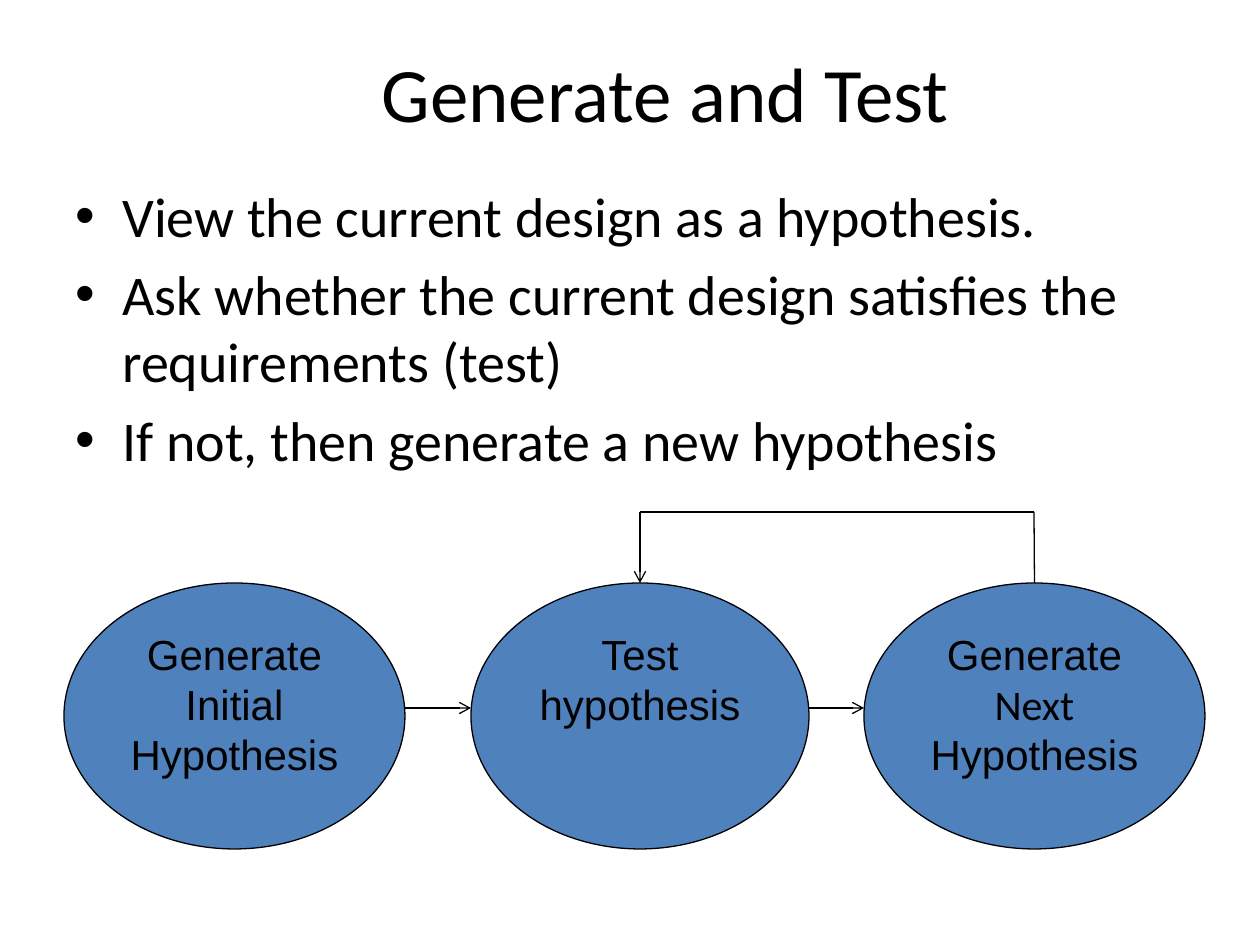
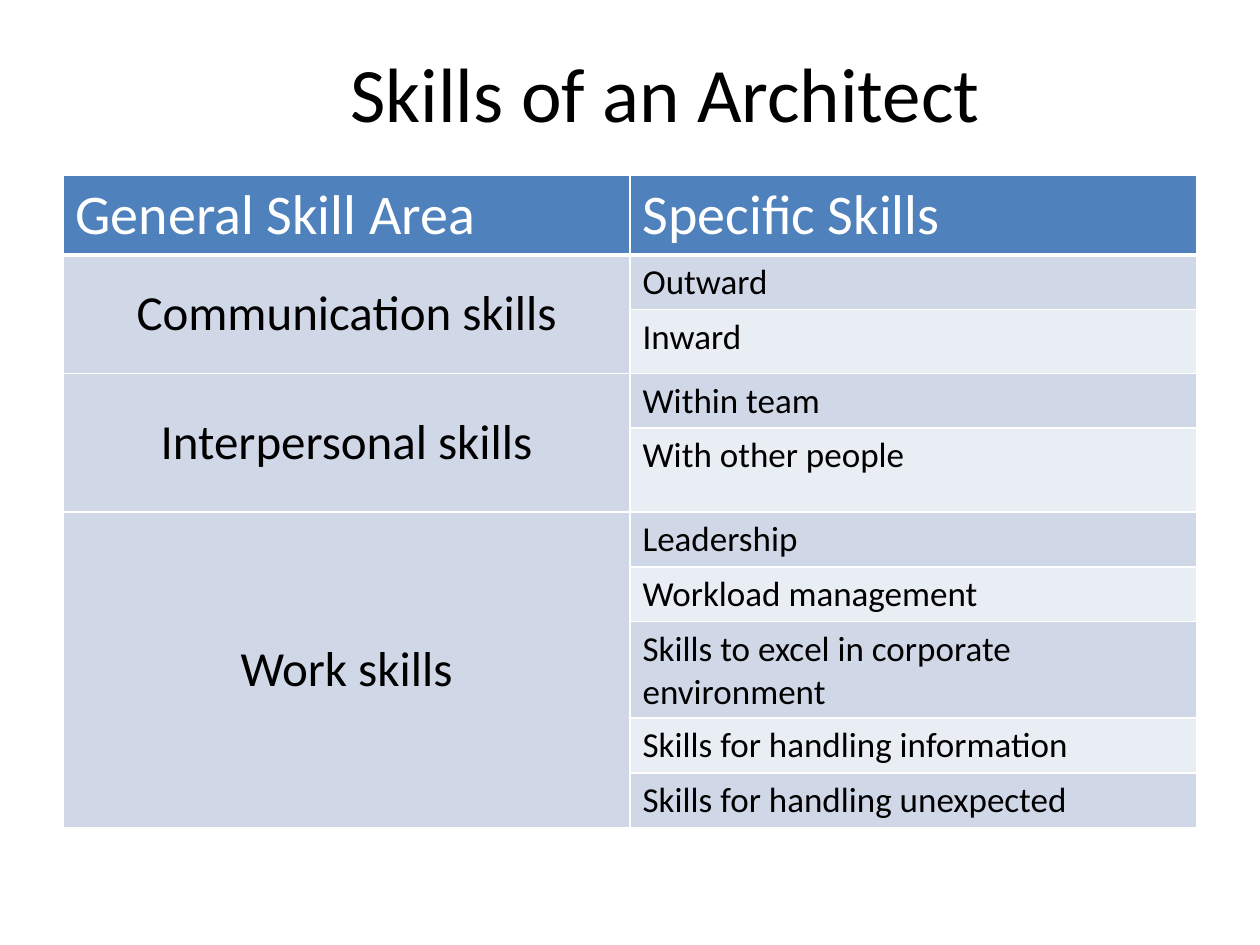
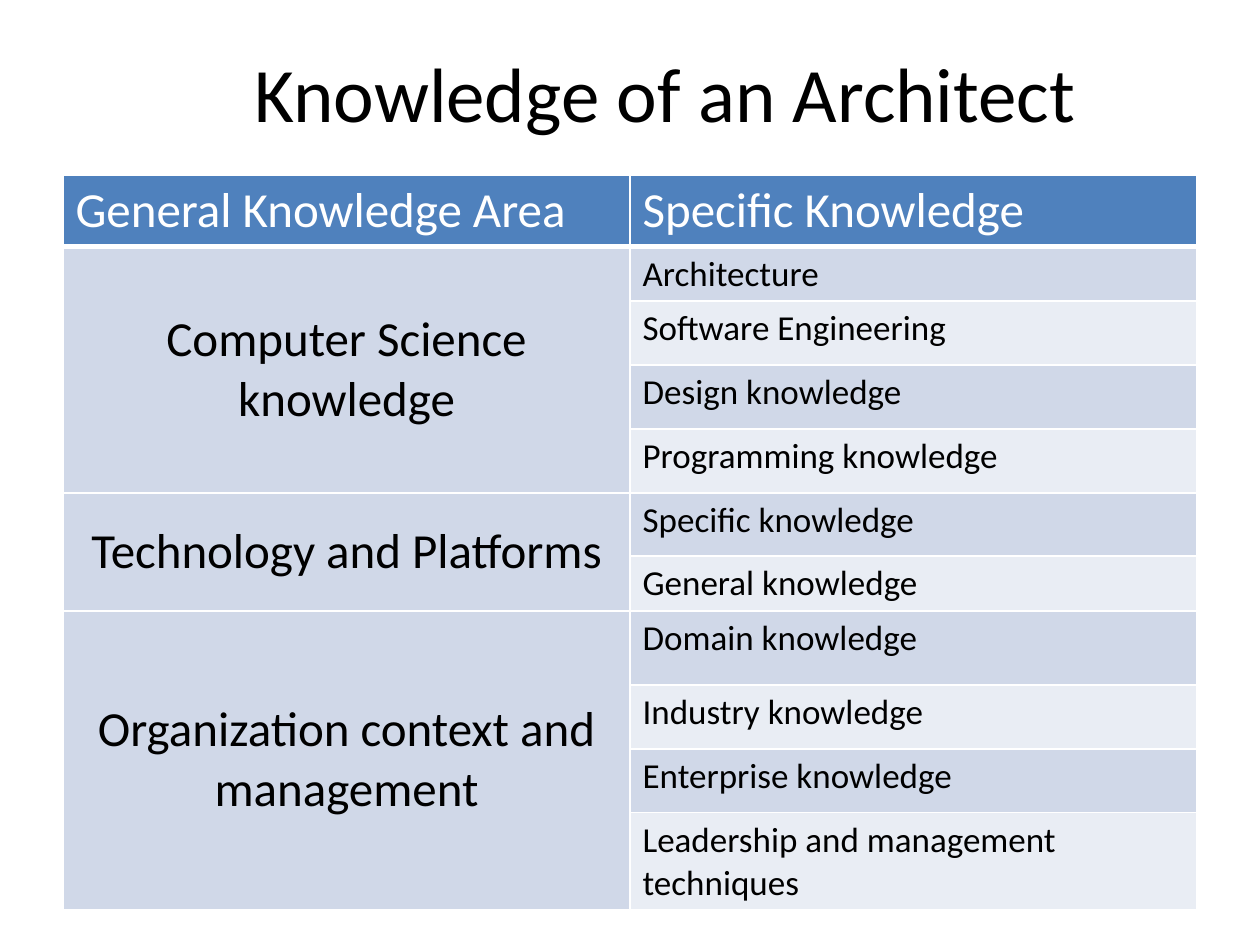
"""Build three slides on design by hypothesis and on what an architect needs."""
from lxml import etree
from pptx import Presentation
from pptx.dml.color import RGBColor
from pptx.enum.shapes import MSO_CONNECTOR, MSO_SHAPE
from pptx.enum.text import MSO_ANCHOR, PP_ALIGN
from pptx.oxml.ns import qn
from pptx.util import Pt

OVAL, LINE = MSO_SHAPE.OVAL, MSO_CONNECTOR.STRAIGHT
TOP, MIDDLE = MSO_ANCHOR.TOP, MSO_ANCHOR.MIDDLE
LEFT, CENTER = PP_ALIGN.LEFT, PP_ALIGN.CENTER
BLACK = RGBColor(0x00, 0x00, 0x00)
WHITE = RGBColor(0xFF, 0xFF, 0xFF)
BLUE = RGBColor(0x4F, 0x81, 0xBD)
BANDS = RGBColor(0xD0, 0xD8, 0xE8), RGBColor(0xE9, 0xED, 0xF4)
SANS, ROUND = "Arial", "Calibri"

PX = 914400 / 126
SIZE = 1260, 945
TITLE = 134, 38, 1063, 107
BODY = 63, 175, 1134, 669
GRID = 63, 175, 1134
INDENT = 47
OVAL_TOP, OVAL_HIGH = 583, 266
FLOW_Y, LOOP_Y = 708, 512

TEST_TITLE = "Generate and Test"
POINTS = [
    "View the current design as a hypothesis.",
    "Ask whether the current design satisfies the requirements (test)",
    "If not, then generate a new hypothesis",
]
STEPS = [
    (64, 341, [("Generate Initial Hypothesis", SANS)]),
    (471, 338, [("Test hypothesis", SANS)]),
    (864, 341, [("Generate ", SANS), ("Next ", ROUND), ("Hypothesis", SANS)]),
]
TABLES = [
    ("Skills of an Architect", 32, ("General Skill Area", "Specific Skills"), [
        ("Communication skills", [("Outward", 52), ("Inward", 64)]),
        ("Interpersonal skills", [("Within team", 52), ("With other people", 84)]),
        ("Work skills", [
            ("Leadership", 52),
            ("Workload management", 52),
            ("Skills to excel in corporate environment", 52),
            ("Skills for handling information", 52),
            ("Skills for handling unexpected", 52),
        ]),
    ]),
    ("Knowledge of an Architect", 28, ("General Knowledge Area", "Specific Knowledge"), [
        ("Computer Science knowledge", [
            ("Architecture", 52),
            ("Software Engineering", 64),
            ("Design knowledge", 64),
            ("Programming knowledge", 64),
        ]),
        ("Technology and Platforms", [("Specific knowledge", 63), ("General knowledge", 48)]),
        ("Organization context and management", [
            ("Domain knowledge", 74),
            ("Industry knowledge", 64),
            ("Enterprise knowledge", 64),
            ("Leadership and management techniques", 64),
        ]),
    ]),
]
HEAD_HIGH = 52


def emu(*vals):
    return [round(v * PX) for v in vals]


def style(item, **vals):
    for name, val in vals.items():
        setattr(item, name, val)


def write(para, runs, size, color=BLACK, align=LEFT):
    para.alignment = align
    for text, face in runs:
        run = para.add_run()
        run.text = text
        style(run.font, name=face, size=Pt(size), bold=False)
        run.font.color.rgb = color


def add_box(slide, place, anchor):
    frame = slide.shapes.add_textbox(*emu(*place)).text_frame
    style(frame, word_wrap=True, vertical_anchor=anchor)
    return frame


def new_slide(deck, title):
    slide = deck.slides.add_slide(deck.slide_layouts[6])
    frame = add_box(slide, TITLE, MIDDLE)
    write(frame.paragraphs[0], [(title, ROUND)], 44, align=CENTER)
    return slide


def add_points(slide):
    frame = add_box(slide, BODY, TOP)
    for i, text in enumerate(POINTS):
        para = frame.add_paragraph() if i else frame.paragraphs[0]
        props = para._p.get_or_add_pPr()
        hang = emu(INDENT)[0]
        props.set("marL", str(hang))
        props.set("indent", str(-hang))
        etree.SubElement(props, qn("a:buFont"), typeface=SANS)
        etree.SubElement(props, qn("a:buChar"), char="•")
        if i:
            para.space_before = Pt(6.4)
        write(para, [(text, ROUND)], 32)


def add_step(slide, left, wide, runs):
    oval = slide.shapes.add_shape(OVAL, *emu(left, OVAL_TOP, wide, OVAL_HIGH))
    oval.shadow.inherit = False
    oval.fill.solid()
    oval.fill.fore_color.rgb = BLUE
    oval.line.color.rgb = BLACK
    oval.line.width = Pt(0.75)
    style(oval.text_frame, word_wrap=True, vertical_anchor=TOP)
    write(oval.text_frame.paragraphs[0], runs, 24, align=CENTER)
    return oval


def add_line(slide, start, end, arrow=False):
    line = slide.shapes.add_connector(LINE, *emu(*start, *end))
    line.line.color.rgb = BLACK
    line.line.width = Pt(0.75)
    if arrow:
        etree.SubElement(line.line._get_or_add_ln(), qn("a:tailEnd"), type="arrow")
    etree.SubElement(line._element.spPr, qn("a:effectLst"))
    return line


def add_flow(slide):
    ovals = [add_step(slide, *step) for step in STEPS]
    for (left, wide, _), (goal, _, _) in zip(STEPS, STEPS[1:]):
        add_line(slide, (left + wide, FLOW_Y), (goal, FLOW_Y), True)
    test, last = [left + wide // 2 for left, wide, _ in STEPS[1:]]
    rise = add_line(slide, (last, OVAL_TOP), (last, LOOP_Y))
    rise.begin_connect(ovals[2], 0)
    add_line(slide, (last, LOOP_Y), (test, LOOP_Y))
    drop = add_line(slide, (test, LOOP_Y), (test, OVAL_TOP), True)
    drop.end_connect(ovals[1], 0)


def paint(cell, fill, base=1):
    props = cell._tc.get_or_add_tcPr()
    for side, wide in (("L", 1), ("R", 1), ("T", 1), ("B", base)):
        edge = etree.SubElement(props, qn("a:ln" + side), w=str(Pt(wide)))
        solid = etree.SubElement(edge, qn("a:solidFill"))
        etree.SubElement(solid, qn("a:srgbClr"), val=str(WHITE))
    cell.fill.solid()
    cell.fill.fore_color.rgb = fill


def fill_cell(cell, text, size, color=BLACK, align=LEFT):
    write(cell.text_frame.paragraphs[0], [(text, ROUND)], size, color, align)


def add_grid(slide, size, heads, groups):
    highs = [HEAD_HIGH] + [high for _, items in groups for _, high in items]
    frame = slide.shapes.add_table(len(highs), 2, *emu(*GRID, sum(highs)))
    table = frame.table
    style(table, first_row=False, horz_banding=False)
    for i, high in enumerate(highs):
        table.rows[i].height = emu(high)[0]
    for col, head in enumerate(heads):
        paint(table.cell(0, col), BLUE, 3)
        fill_cell(table.cell(0, col), head, size, WHITE)
    row = 1
    for area, items in groups:
        first = table.cell(row, 0)
        first.merge(table.cell(row + len(items) - 1, 0))
        first.vertical_anchor = MIDDLE
        fill_cell(first, area, 28, align=CENTER)
        for text, _ in items:
            paint(table.cell(row, 0), BANDS[0])
            paint(table.cell(row, 1), BANDS[(row - 1) % 2])
            fill_cell(table.cell(row, 1), text, 20)
            row += 1


def main():
    deck = Presentation()
    deck.slide_width, deck.slide_height = emu(*SIZE)
    slide = new_slide(deck, TEST_TITLE)
    add_points(slide)
    add_flow(slide)
    for title, *parts in TABLES:
        add_grid(new_slide(deck, title), *parts)
    deck.save("out.pptx")


if __name__ == "__main__":
    main()
